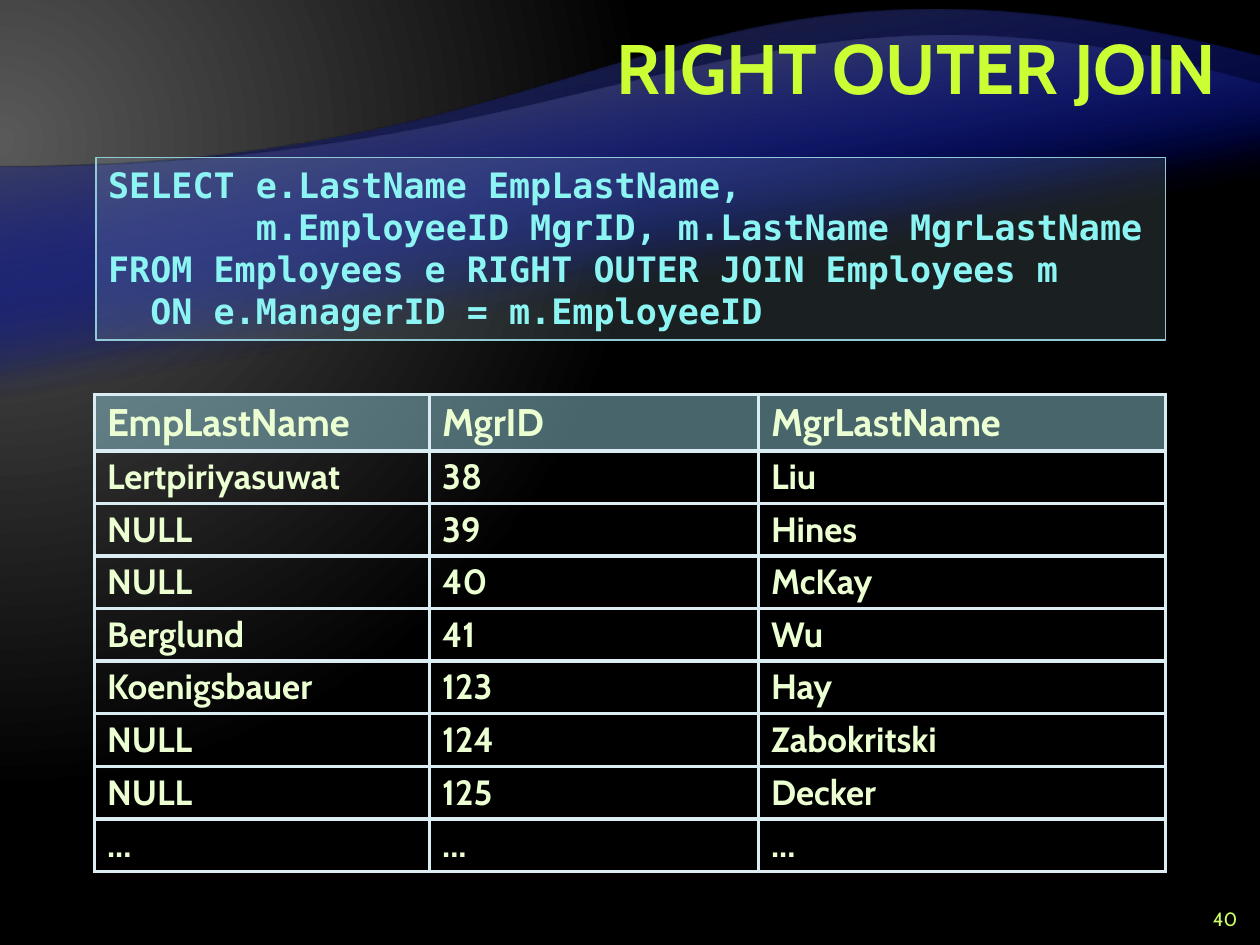
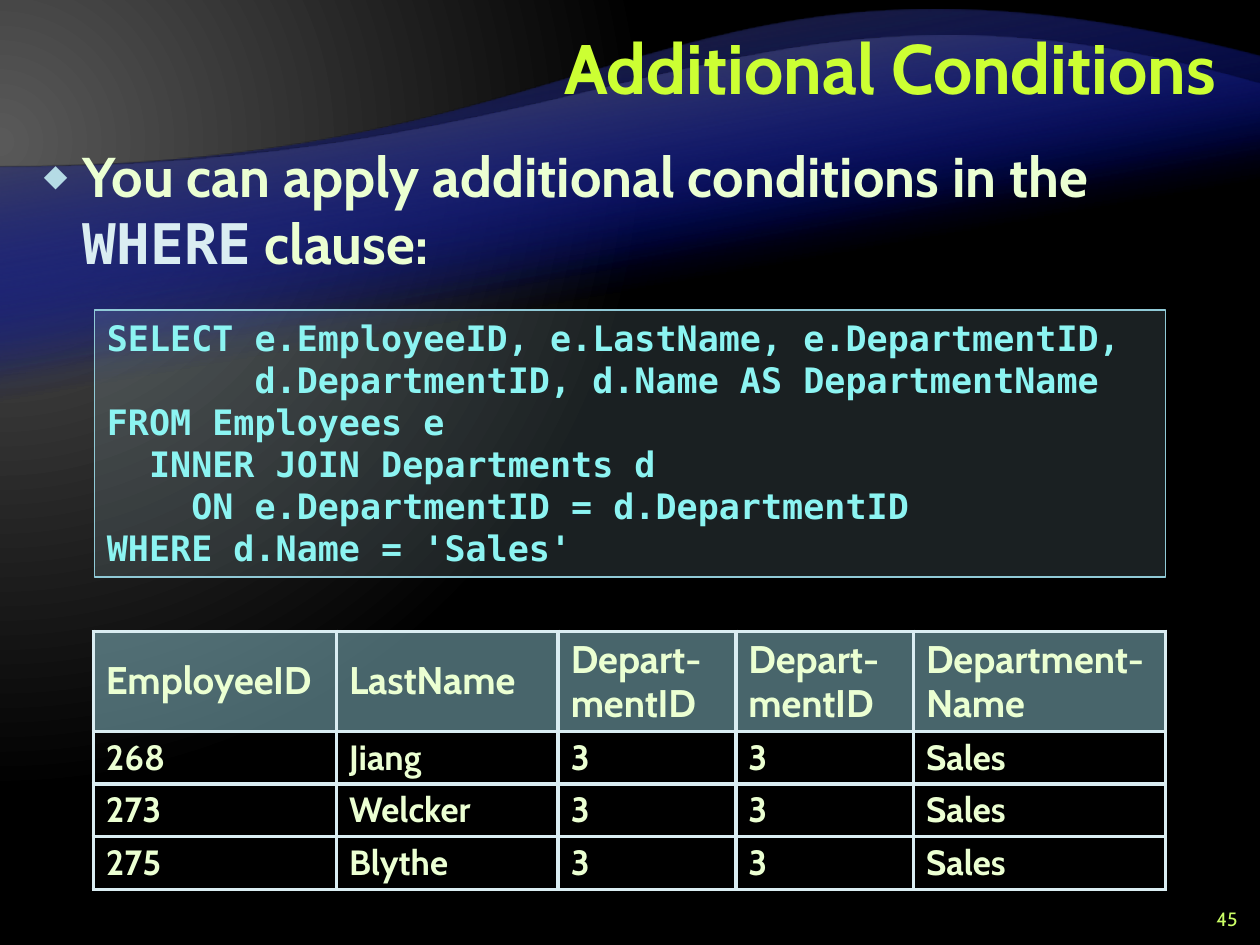
"""Build two SQL join slides that share a dark background with blue waves."""
from typing import NamedTuple

from pptx import Presentation
from pptx.dml.color import RGBColor
from pptx.enum.shapes import MSO_SHAPE as Preset
from pptx.enum.text import MSO_ANCHOR as Anchor, MSO_AUTO_SIZE as AutoSize, PP_ALIGN as Align
from pptx.oxml import parse_xml
from pptx.oxml.ns import nsdecls, qn
from pptx.util import Emu, Pt

EMU_PER_PX = 9144
SLIDE_WIDTH, SLIDE_HEIGHT = 1000, 750
ROW_HEIGHT = 38

TEXT_FONT = "Cabin"
CODE_FONT = "DejaVu Sans Mono"

TITLE_LIME = RGBColor(0xCC, 0xFF, 0x33)
NUMBER_LIME = RGBColor(0xCC, 0xFF, 0x66)
TEXT_CREAM = RGBColor(0xEB, 0xFF, 0xD2)
CODE_AQUA = RGBColor(0x8C, 0xF4, 0xF2)
PALE_ICE = RGBColor(0xDA, 0xED, 0xF2)
PALE_BLUE = RGBColor(0xB5, 0xDB, 0xE5)
STEEL_BLUE = RGBColor(0x90, 0xCA, 0xD7)
WAVE_BLUE = RGBColor(0x00, 0x0D, 0x9E)
DARK_GREY = RGBColor(0x26, 0x26, 0x26)
MID_GREY = RGBColor(0x59, 0x59, 0x59)
BLACK = RGBColor(0x00, 0x00, 0x00)


class Box(NamedTuple):
    left: int
    top: int
    width: int
    height: int


class Point(NamedTuple):
    x: int
    y: int


class Stop(NamedTuple):
    position: int
    color: RGBColor
    alpha: int = 100


class Wave(NamedTuple):
    start: Point
    controls: tuple[Point, Point]
    end: Point
    bottom: int
    color: RGBColor


class Style(NamedTuple):
    size: int
    color: RGBColor
    bold: bool = True
    font: str = TEXT_FONT


class Grid(NamedTuple):
    box: Box
    columns: tuple[int, ...]
    rows: tuple[tuple[str, ...], ...]
    header_anchor: Anchor = Anchor.TOP


TITLE_BOX = Box(200, 8, 775, 100)
BODY_BOX = Box(25, 108, 950, 625)
NUMBER_BOX = Box(942, 717, 50, 25)

TITLE_STYLE = Style(40, TITLE_LIME)
NUMBER_STYLE = Style(11, NUMBER_LIME, bold=False)
BODY_STYLE = Style(32, TEXT_CREAM)
KEYWORD_STYLE = Style(32, PALE_ICE, font=CODE_FONT)
CODE_STYLE = Style(20, CODE_AQUA, font=CODE_FONT)
HEADER_STYLE = Style(22, TEXT_CREAM)
CELL_STYLE = Style(20, TEXT_CREAM)

WAVE_START = Point(0, 133)
WAVES = 2 * (
    Wave(WAVE_START, (Point(500, 133), Point(534, -75)), Point(1000, 45), 653, DARK_GREY),
    Wave(WAVE_START, (Point(500, 133), Point(598, -49)), Point(1000, 67), 557, MID_GREY),
)

OUTER_JOIN_CODE = """SELECT e.LastName EmpLastName,
       m.EmployeeID MgrID, m.LastName MgrLastName
FROM Employees e RIGHT OUTER JOIN Employees m
  ON e.ManagerID = m.EmployeeID"""

CONDITIONS_CODE = """SELECT e.EmployeeID, e.LastName, e.DepartmentID,
       d.DepartmentID, d.Name AS DepartmentName
FROM Employees e
  INNER JOIN Departments d
    ON e.DepartmentID = d.DepartmentID
WHERE d.Name = 'Sales'"""

MANAGERS = Grid(Box(75, 313, 850, 378), (266, 261, 323), (
    ("EmpLastName", "MgrID", "MgrLastName"),
    ("Lertpiriyasuwat", "38", "Liu"),
    ("NULL", "39", "Hines"),
    ("NULL", "40", "McKay"),
    ("Berglund", "41", "Wu"),
    ("Koenigsbauer", "123", "Hay"),
    ("NULL", "124", "Zabokritski"),
    ("NULL", "125", "Decker"),
    ("...", "...", "..."),
))

SALES_STAFF = Grid(Box(74, 501, 851, 205), (193, 176, 141, 141, 200), (
    ("EmployeeID", "LastName", "Depart-mentID", "Depart-mentID", "Department-Name"),
    ("268", "Jiang", "3", "3", "Sales"),
    ("273", "Welcker", "3", "3", "Sales"),
    ("275", "Blythe", "3", "3", "Sales"),
), Anchor.MIDDLE)


def px(value: int) -> Emu:
    return Emu(value * EMU_PER_PX)


def place(box: Box) -> tuple[Emu, ...]:
    return tuple(px(length) for length in box)


def set_gradient(fill, owner, stops: tuple[Stop, ...], direction: str) -> None:
    fill.gradient()
    stop_xml = "".join(
        f'<a:gs pos="{stop.position * 1000}"><a:srgbClr val="{stop.color}">'
        f'<a:alpha val="{stop.alpha * 1000}"/></a:srgbClr></a:gs>' for stop in stops)
    gradient = parse_xml(f'<a:gradFill {nsdecls("a")} rotWithShape="1">'
                         f"<a:gsLst>{stop_xml}</a:gsLst>{direction}</a:gradFill>")
    current = next(owner.iter(qn("a:gradFill")))
    current.getparent().replace(current, gradient)


def set_translucent(fill, owner, color: RGBColor, alpha: int) -> None:
    fill.solid()
    fill.fore_color.rgb = color
    color_element = owner.find(qn("a:solidFill")).find(qn("a:srgbClr"))
    color_element.append(parse_xml(f'<a:alpha {nsdecls("a")} val="{alpha * 1000}"/>'))


def format_run(run, style: Style) -> None:
    run.font.name = style.font
    run.font.size = Pt(style.size)
    run.font.bold = style.bold
    run.font.color.rgb = style.color


def format_text(text_frame, style: Style, align: Align = Align.LEFT) -> None:
    for paragraph in text_frame.paragraphs:
        paragraph.alignment = align
        for run in paragraph.runs:
            format_run(run, style)


def draw_wave(slide, wave: Wave) -> None:
    top = wave.end.y
    corners = (Point(SLIDE_WIDTH, wave.bottom), Point(0, wave.bottom), wave.start, wave.end)
    turned = [(px(SLIDE_WIDTH - x), px(top + wave.bottom - y)) for x, y in corners]
    builder = slide.shapes.build_freeform(*turned[0])
    builder.add_line_segments(turned[1:], close=True)
    shape = builder.convert_to_shape()
    crest_xml = "".join(f'<a:pt x="{px(SLIDE_WIDTH - x)}" y="{px(wave.bottom - y)}"/>'
                        for x, y in (*wave.controls, wave.end))
    last_line = list(shape.element.iter(qn("a:lnTo")))[-1]
    last_line.getparent().replace(last_line, parse_xml(
        f'<a:cubicBezTo {nsdecls("a")}>{crest_xml}</a:cubicBezTo>'))
    shape.rotation = 180
    shape.shadow.inherit = False
    shape.line.fill.background()
    set_gradient(shape.fill, shape.element, (Stop(65, WAVE_BLUE, 0), Stop(100, wave.color)),
                 f'<a:lin ang="{80 * 60000}" scaled="0"/>')


def draw_text(slide, box: Box, text: str, style: Style):
    text_frame = slide.shapes.add_textbox(*place(box)).text_frame
    text_frame.word_wrap = True
    text_frame.vertical_anchor = Anchor.MIDDLE
    text_frame.text = text
    format_text(text_frame, style, Align.RIGHT)
    return text_frame


def draw_bullet(slide, parts: tuple[tuple[str, Style], ...]) -> None:
    text_frame = slide.shapes.add_textbox(*place(BODY_BOX)).text_frame
    text_frame.word_wrap = True
    paragraph = text_frame.paragraphs[0]
    paragraph.line_spacing = Pt(38)
    paragraph.space_after = Pt(6)
    properties = paragraph._p.get_or_add_pPr()
    properties.set("marL", str(px(31)))
    properties.set("indent", str(px(-31)))
    for bullet in (f'<a:buClr {nsdecls("a")}><a:srgbClr val="{PALE_BLUE}"/></a:buClr>',
                   f'<a:buSzPct {nsdecls("a")} val="70000"/>',
                   f'<a:buFont {nsdecls("a")} typeface="{CODE_FONT}"/>',
                   f'<a:buChar {nsdecls("a")} char="◆"/>'):
        properties.append(parse_xml(bullet))
    for text, style in parts:
        run = paragraph.add_run()
        run.text = text
        format_run(run, style)


def draw_code(slide, box: Box, code: str) -> None:
    shape = slide.shapes.add_shape(Preset.RECTANGLE, *place(box))
    shape.shadow.inherit = False
    set_translucent(shape.fill, shape.element.spPr, PALE_BLUE, 15)
    shape.line.color.rgb = STEEL_BLUE
    shape.line.width = Pt(1)
    text_frame = shape.text_frame
    text_frame.word_wrap = True
    text_frame.auto_size = AutoSize.SHAPE_TO_FIT_TEXT
    text_frame.vertical_anchor = Anchor.TOP
    text_frame.text = code
    format_text(text_frame, CODE_STYLE)


def draw_cell(cell, text: str, is_header: bool, anchor: Anchor) -> None:
    properties = cell._tc.get_or_add_tcPr()
    for side in "LRTB":
        properties.append(parse_xml(
            f'<a:ln{side} {nsdecls("a")} w="{Pt(2.25)}"><a:solidFill>'
            f'<a:srgbClr val="{PALE_ICE}"/></a:solidFill></a:ln{side}>'))
    if is_header:
        set_translucent(cell.fill, properties, STEEL_BLUE, 50)
        cell.vertical_anchor = anchor
    else:
        cell.fill.background()
    cell.text_frame.text = text
    cell.text_frame.paragraphs[0].line_spacing = 0.95
    format_text(cell.text_frame, HEADER_STYLE if is_header else CELL_STYLE)


def draw_table(slide, grid: Grid) -> None:
    table = slide.shapes.add_table(len(grid.rows), len(grid.columns), *place(grid.box)).table
    table.horz_banding = False
    for column, width in zip(table.columns, grid.columns):
        column.width = px(width)
    for index, (row, texts) in enumerate(zip(table.rows, grid.rows)):
        row.height = px(ROW_HEIGHT)
        for cell, text in zip(row.cells, texts):
            draw_cell(cell, text, index == 0, grid.header_anchor)


def add_base_slide(presentation, title: str, number: int):
    slide = presentation.slides.add_slide(presentation.slide_layouts[6])
    set_gradient(slide.background.fill, slide.element, (Stop(0, MID_GREY), Stop(83, BLACK)),
                 '<a:path path="circle">'
                 '<a:fillToRect l="20000" t="30000" r="135000" b="100000"/></a:path>')
    for wave in WAVES:
        draw_wave(slide, wave)
    heading = draw_text(slide, TITLE_BOX, title, TITLE_STYLE)
    heading.paragraphs[0].line_spacing = Pt(40)
    draw_text(slide, NUMBER_BOX, str(number), NUMBER_STYLE)
    return slide


def main() -> None:
    presentation = Presentation()
    presentation.slide_width = px(SLIDE_WIDTH)
    presentation.slide_height = px(SLIDE_HEIGHT)

    outer_join = add_base_slide(presentation, "RIGHT OUTER JOIN", 40)
    draw_code(outer_join, Box(76, 125, 849, 145), OUTER_JOIN_CODE)
    draw_table(outer_join, MANAGERS)

    conditions = add_base_slide(presentation, "Additional Conditions", 45)
    draw_bullet(conditions, (("You can apply additional conditions in the ", BODY_STYLE),
                             ("WHERE", KEYWORD_STYLE), (" clause:", BODY_STYLE)))
    draw_code(conditions, Box(75, 246, 850, 212), CONDITIONS_CODE)
    draw_table(conditions, SALES_STAFF)

    presentation.save("out.pptx")


if __name__ == "__main__":
    main()
